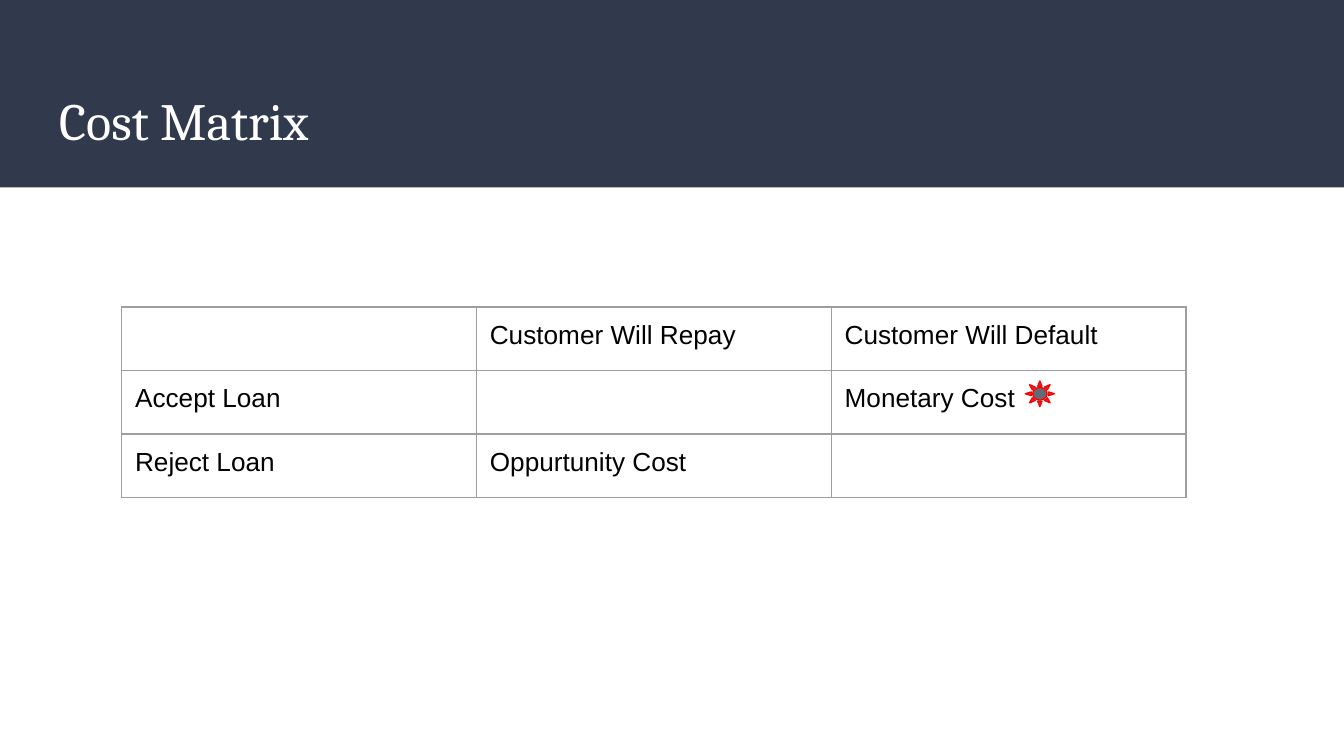
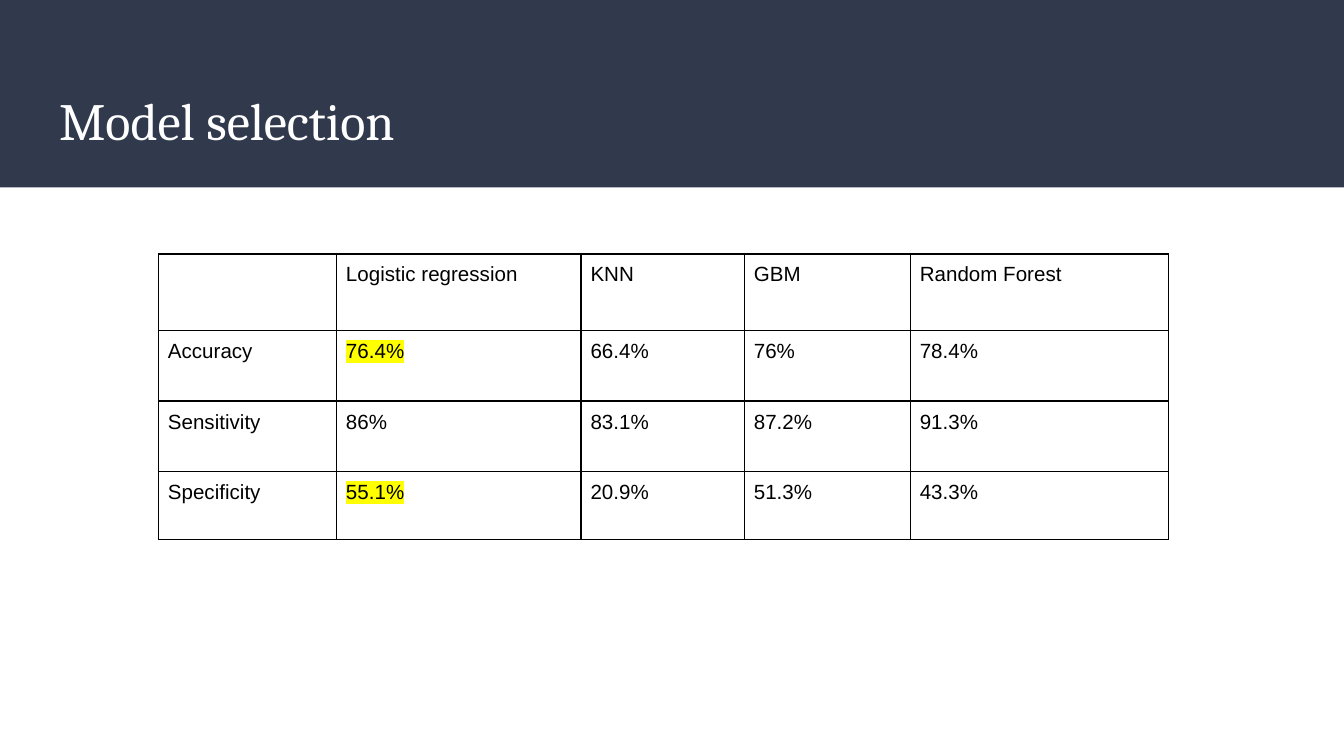
from lxml import etree
from pptx import Presentation
from pptx import util as u
from pptx.dml.color import RGBColor
from pptx.enum import shapes, text
from pptx.oxml.ns import qn

SCALE = 4572
WIDTH, HEIGHT = 2000, 1125
BAND_BOX = (0, 0, WIDTH, 279)
TITLE_BOX = (68, 110, 1864, 136)
NAVY, WHITE, BLACK = "31394D", "FFFFFF", "000000"
GREY, SLATE, RED, YELLOW = "9E9E9E", "626B73", "FF0000", "FFFF00"
EMPTY_SIZE = 17.5

COSTS = [
    ["", "Customer Will Repay", "Customer Will Default"],
    ["Accept Loan", "", "Monetary Cost"],
    ["Reject Loan", "Oppurtunity Cost", ""],
]
SCORES = [
    ["", "Logistic regression", "KNN", "GBM", "Random Forest"],
    ["Accuracy", "76.4%", "66.4%", "76%", "78.4%"],
    ["Sensitivity", "86%", "83.1%", "87.2%", "91.3%"],
    ["Specificity", "55.1%", "20.9%", "51.3%", "43.3%"],
]


def px(length):
    """Turn px into EMU."""
    return u.Emu(length * SCALE)


def color(value):
    """Turn a hex string into a colour."""
    return RGBColor.from_string(value)


def place(shape, box):
    """Move a shape to a box given in px."""
    shape.left, shape.top, shape.width, shape.height = map(px, box)


def set_margins(holder, inset):
    """Give a text frame or a table cell four equal margins."""
    holder.margin_left = holder.margin_right = px(inset)
    holder.margin_top = holder.margin_bottom = px(inset)


def add_solid(parent, tag, value):
    """Append an element holding one hex colour."""
    element = etree.SubElement(parent, qn(tag))
    etree.SubElement(element, qn("a:srgbClr"), val=value)
    return element


def write(frame, content, size=14, font="Arial", fill=BLACK, highlight=None):
    """Write left-aligned text with its format into a text frame."""
    paragraph = frame.paragraphs[0]
    paragraph.alignment = text.PP_ALIGN.LEFT
    run = paragraph.add_run()
    run.text = content
    run.font.size = u.Pt(size)
    run.font.name = font
    run.font.bold = False
    run.font.color.rgb = color(fill)
    if highlight:
        properties = run._r.get_or_add_rPr()
        mark = add_solid(properties, "a:highlight", highlight)
        properties.find(qn("a:solidFill")).addnext(mark)


def size_empty(frame):
    """Set the font that gives an empty cell its height."""
    ending = etree.SubElement(
        frame.paragraphs[0]._p, qn("a:endParaRPr"), sz=str(int(EMPTY_SIZE * 100))
    )
    etree.SubElement(ending, qn("a:latin"), typeface="Arial")


def add_preset(slide, kind, box, fill, line=None):
    """Add a filled preset shape, outlined if a line colour is given."""
    shape = slide.shapes.add_shape(kind, *map(px, box))
    shape.shadow.inherit = False
    shape.fill.solid()
    shape.fill.fore_color.rgb = color(fill)
    if line:
        shape.line.color.rgb = color(line)
        shape.line.width = u.Pt(0.75)
    else:
        shape.line.fill.background()
    return shape


def style_layout(layout, slide):
    """Give the layout its title band and title position."""
    band = add_preset(slide, shapes.MSO_SHAPE.RECTANGLE, BAND_BOX, NAVY)
    band.element.nvSpPr.cNvPr.set("id", "20")
    layout.shapes.element.insert(2, band.element)
    place(layout.placeholders[0], TITLE_BOX)


def add_title(slide, content):
    """Fill the title placeholder."""
    title = slide.shapes.title
    place(title, TITLE_BOX)
    frame = title.text_frame
    frame.word_wrap = True
    frame.auto_size = text.MSO_AUTO_SIZE.NONE
    frame.vertical_anchor = text.MSO_ANCHOR.MIDDLE
    set_margins(frame, 20)
    write(frame, content, size=28, font="Cambria", fill=WHITE)


def border_cell(cell, line, width):
    """Draw all four borders of a table cell."""
    properties = cell._tc.get_or_add_tcPr()
    for side in "LRTB":
        border = etree.SubElement(properties, qn(f"a:ln{side}"), w=str(u.Pt(width)))
        add_solid(border, "a:solidFill", line)


def add_grid(slide, origin, columns, rows, values, line, width, size, inset, marked=()):
    """Add a bordered table whose marked cells are highlighted."""
    extent = (sum(columns), sum(rows))
    table = slide.shapes.add_table(
        len(rows), len(columns), *map(px, origin + extent)
    ).table
    table.first_row = table.horz_banding = False
    for column, length in zip(table.columns, columns):
        column.width = px(length)
    for row, length in zip(table.rows, rows):
        row.height = px(length)
    for r, row_values in enumerate(values):
        for c, value in enumerate(row_values):
            cell = table.cell(r, c)
            border_cell(cell, line, width)
            cell.fill.background()
            set_margins(cell, inset)
            if value:
                highlight = YELLOW if (r, c) in marked else None
                write(cell.text_frame, value, size=size, highlight=highlight)
            else:
                size_empty(cell.text_frame)


def build_cost_matrix(slide):
    """Build the cost matrix slide."""
    add_title(slide, "Cost Matrix")
    left, top = 181, 457
    add_grid(slide, (left, top), [528] * 3, [84] * 3, COSTS, GREY, 0.75,
             size=14, inset=20)
    sun_box = (left + 1345, top + 110, 43, 38)
    add_preset(slide, shapes.MSO_SHAPE.SUN, sun_box, SLATE, RED)


def build_model_selection(slide):
    """Build the model selection slide."""
    add_title(slide, "Model selection")
    add_grid(slide, (236, 378), [265, 364, 243, 247, 384], [114, 105, 105, 101],
             SCORES, BLACK, 1, size=11, inset=14, marked={(1, 1), (3, 1)})


def main():
    """Build and save the presentation."""
    presentation = Presentation()
    presentation.slide_width, presentation.slide_height = px(WIDTH), px(HEIGHT)
    layout = presentation.slide_layouts[5]
    slides = [presentation.slides.add_slide(layout) for _ in range(2)]
    style_layout(layout, slides[0])
    build_cost_matrix(slides[0])
    build_model_selection(slides[1])
    presentation.save("out.pptx")


if __name__ == "__main__":
    main()
